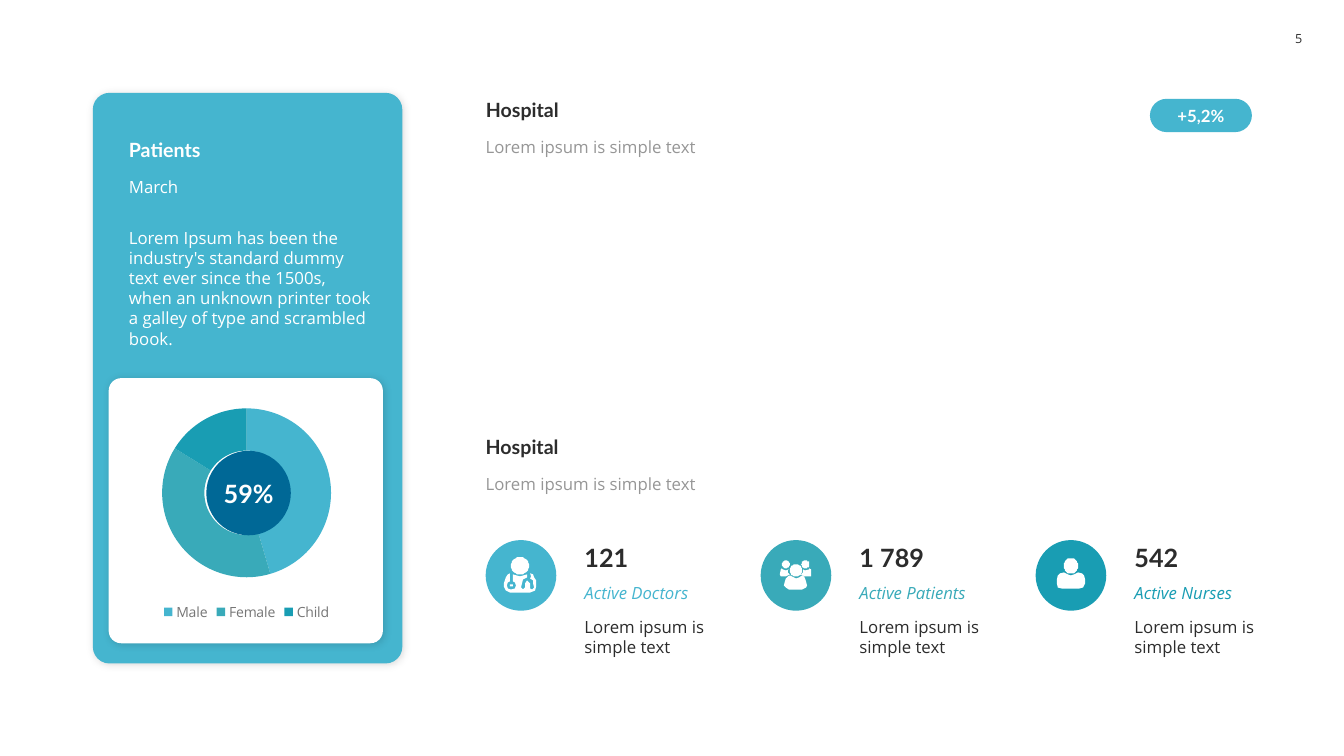
import math

from lxml import etree
from pptx import Presentation
from pptx import util as u
from pptx.chart.data import CategoryChartData
from pptx.dml.color import RGBColor
from pptx.enum import chart as charts
from pptx.enum import shapes, text
from pptx.oxml.ns import qn

SKY, TEAL, SEA, NAVY = "45B5CF", "39AAB9", "199DB3", "006896"
WHITE, INK, GREY, LEGEND_GREY = "FFFFFF", "2C2C2C", "969696", "767676"
HEAD, BODY = "Lato", "Open Sans"
MIDDLE, BOTTOM = text.MSO_ANCHOR.MIDDLE, text.MSO_ANCHOR.BOTTOM
ROUNDED, OVAL = shapes.MSO_SHAPE.ROUNDED_RECTANGLE, shapes.MSO_SHAPE.OVAL
LEFT, CENTER = text.PP_ALIGN.LEFT, text.PP_ALIGN.CENTER


def color(value):
    return RGBColor.from_string(value)


def cm(*lengths):
    return [u.Cm(length) for length in lengths]


def circle(x, y, radius):
    turns = [math.radians(step * 10) for step in range(36)]
    return [(x + radius * math.cos(t), y + radius * math.sin(t)) for t in turns]


# Icon outlines on a grid where the round badge is 70 units wide.
DOCTOR = [
    [(50, 46), (49, 50), (44, 52), (24, 52), (20, 50), (18, 46), (18, 43), (19, 40),
     (20, 37), (22, 34), (24, 33), (24, 41), (22, 42), (21, 45), (22, 48), (25, 49),
     (29, 48), (30, 45), (29, 42), (27, 41), (27, 34), (34, 36), (41, 34), (41, 37),
     (37, 39), (36, 43), (35, 47), (37, 49), (39, 47), (39, 43), (41, 40), (44, 43),
     (44, 48), (46, 49), (48, 47), (47, 43), (47, 40), (44, 38), (45, 36), (44, 33),
     (47, 34), (48, 37), (50, 40), (50, 43)],
    circle(25.5, 45, 1.5), circle(34, 25.5, 8.8)]
SIDE_PATIENT = [(29, 34), (25, 36), (22, 36), (20, 36), (19, 34), (20, 29), (21, 28),
                (22, 29), (25, 30), (28, 29), (27, 30), (27, 32)]
PATIENTS = [
    [(46, 45), (45, 47), (41, 49), (28, 49), (25, 47), (23, 45), (24, 41), (25, 38),
     (27, 36), (29, 35), (31, 36), (35, 38), (38, 37), (41, 35), (43, 36), (44, 38),
     (45, 41)],
    SIDE_PATIENT, [(69.5 - x, y) for x, y in SIDE_PATIENT],
    circle(35, 30, 6), circle(25, 24, 4), circle(44.5, 24, 4)]
NURSE = [
    [(49, 43), (47, 47), (43, 48), (26, 48), (22, 47), (21, 43), (21, 39), (22, 35),
     (24, 33), (28, 32), (32, 34), (35, 35), (38, 34), (42, 32), (46, 33), (48, 35),
     (49, 39)],
    circle(35, 25.5, 7.5)]

STATS = [("121", "Active Doctors", SKY, DOCTOR),
         ("1 789", "Active Patients", TEAL, PATIENTS),
         ("542", "Active Nurses", SEA, NURSE)]


def style_font(font, size, hue, name, bold=False, italic=False):
    font.size, font.name, font.bold, font.italic = u.Pt(size), name, bold, italic
    font.color.rgb = color(hue)


def write(shape, words, size, hue, name, align=LEFT, **style):
    para = shape.text_frame.paragraphs[0]
    para.alignment = align
    span = para.add_run()
    span.text = words
    style_font(span.font, size, hue, name, **style)


def add_text(page, box, words, size, hue, name=BODY, anchor=text.MSO_ANCHOR.TOP, **style):
    label = page.shapes.add_textbox(*cm(*box))
    label.text_frame.word_wrap = True
    label.text_frame.vertical_anchor = anchor
    write(label, words, size, hue, name, **style)


def paint(shape, fill):
    shape.shadow.inherit = False
    shape.fill.solid()
    shape.fill.fore_color.rgb = color(fill)
    shape.line.fill.background()


def add_block(page, kind, box, fill, corner=None):
    block = page.shapes.add_shape(kind, *cm(*box))
    paint(block, fill)
    if corner is not None:
        block.adjustments[0] = corner
    return block


def add_soft_shadow(shape):
    effects = shape._element.spPr.find(qn("a:effectLst"))
    shadow = etree.SubElement(effects, qn("a:outerShdw"), blurRad=str(u.Pt(6)),
                              dist=str(u.Pt(1)), dir="2700000", rotWithShape="0")
    black = etree.SubElement(shadow, qn("a:srgbClr"), val="000000")
    etree.SubElement(black, qn("a:alpha"), val="15000")


def add_badge(page, box, fill, words, size, name, corner, **style):
    badge = add_block(page, ROUNDED, box, fill, corner)
    frame = badge.text_frame
    frame.margin_left = frame.margin_right = frame.margin_top = frame.margin_bottom = 0
    frame.vertical_anchor = MIDDLE
    write(badge, words, size, name=name, align=CENTER, **style)


def add_patient_chart(page, box):
    data = CategoryChartData()
    data.categories = ["Male", "Female", "Child"]
    data.add_series("Series 1", (45, 38, 16))
    chart = page.shapes.add_chart(charts.XL_CHART_TYPE.DOUGHNUT, *cm(*box), data).chart
    chart.has_title = False
    style_font(chart.font, 10, INK, BODY)
    chart.has_legend = True
    chart.legend.position = charts.XL_LEGEND_POSITION.BOTTOM
    chart.legend.include_in_layout = False
    style_font(chart.legend.font, 10, LEGEND_GREY, BODY)
    plot = chart.plots[0]
    plot.vary_by_categories = True
    plot._element.find(qn("c:holeSize")).set("val", "75")
    for index, hue in enumerate((SKY, TEAL, SEA)):
        part = plot.series[0].points[index].format
        part.fill.solid()
        part.fill.fore_color.rgb = color(hue)
        part.line.fill.background()


def add_patients_panel(page, left, top, width, height):
    panel = add_block(page, ROUNDED, (left, top, width, height), SKY, 0.054)
    add_soft_shadow(panel)
    x, text_width = left + 0.66, 6.65
    add_text(page, (x, top + 0.99, text_width, 0.86), "Patients", 14, WHITE, HEAD,
             BOTTOM, bold=True)
    add_text(page, (x, top + 1.98, text_width, 0.76), "March", 12, WHITE)
    add_text(page, (x, top + 3.27, text_width, 2.82),
             "Lorem Ipsum has been the industry's standard dummy text ever since the "
             "1500s, when an unknown printer took a galley of type and scrambled book.",
             12, WHITE)
    add_chart_card(page, left + 0.4, top + 7.19, 6.91, 6.68)


def add_chart_card(page, left, top, width, height):
    card = add_block(page, ROUNDED, (left, top, width, height), WHITE, 0.047)
    add_soft_shadow(card)
    add_patient_chart(page, (left + 0.25, top + 0.41, 6.45, 5.82))
    hub = (left + 2.46, top + 1.83, 2.13, 2.13)
    add_block(page, OVAL, hub, NAVY)
    add_text(page, hub, "59%", 18, WHITE, HEAD, MIDDLE, align=CENTER, bold=True)


def add_title(page, left, top, width, height):
    title = page.shapes.title
    title.left, title.top, title.width, title.height = cm(left, top, width, height)
    title.text_frame.auto_size = text.MSO_AUTO_SIZE.NONE
    title.text_frame.vertical_anchor = BOTTOM
    write(title, "Hospital", 14, INK, HEAD, bold=True)


def add_subtitle(page, left, top, width):
    add_text(page, (left, top, width, 0.76), "Lorem ipsum is simple text", 12, GREY)


def add_icon(page, left, top, side, outlines):
    first, *others = outlines
    pen = page.shapes.build_freeform(*first[0], scale=u.Cm(side) / 70)
    pen.add_line_segments(first[1:], close=True)
    for outline in others:
        pen.move_to(*outline[0])
        pen.add_line_segments(outline[1:], close=True)
    paint(pen.convert_to_shape(*cm(left, top)), WHITE)


def add_stat(page, left, top, side, stat):
    number, label, hue, outlines = stat
    add_block(page, OVAL, (left, top, side, side), hue)
    add_icon(page, left, top, side, outlines)
    x, width = left + 2.24, 3.66
    add_text(page, (x, top - 0.08, width, 1.02), number, 18, INK, HEAD, BOTTOM, bold=True)
    add_text(page, (x, top + 0.94, width, 0.76), label, 12, hue, italic=True)
    add_text(page, (x, top + 1.8, width, 1.27), "Lorem ipsum is simple text", 12, INK)


def main():
    deck = Presentation()
    deck.slide_width, deck.slide_height = cm(33.87, 19.05)
    page = deck.slides.add_slide(deck.slide_layouts[5])
    left, width = 11.99, 19.53
    add_badge(page, (32.23, 0.46, 1, 1), WHITE, "5", 9, BODY, 0.17, hue=INK)
    add_title(page, left, 2.34, width, 0.86)
    add_subtitle(page, left, 3.33, width)
    add_badge(page, (28.98, 2.49, 2.57, 0.84), SKY, "+5,2%", 12, HEAD, 0.5,
              hue=WHITE, bold=True)
    add_patients_panel(page, 2.34, 2.34, 7.8, 14.38)
    add_text(page, (left, 10.82, width, 0.86), "Hospital", 14, INK, HEAD, BOTTOM, bold=True)
    add_subtitle(page, left, 11.81, width)
    for column, stat in enumerate(STATS):
        add_stat(page, 12.24 + column * 6.93, 13.61, 1.78, stat)
    deck.save("out.pptx")


if __name__ == "__main__":
    main()
